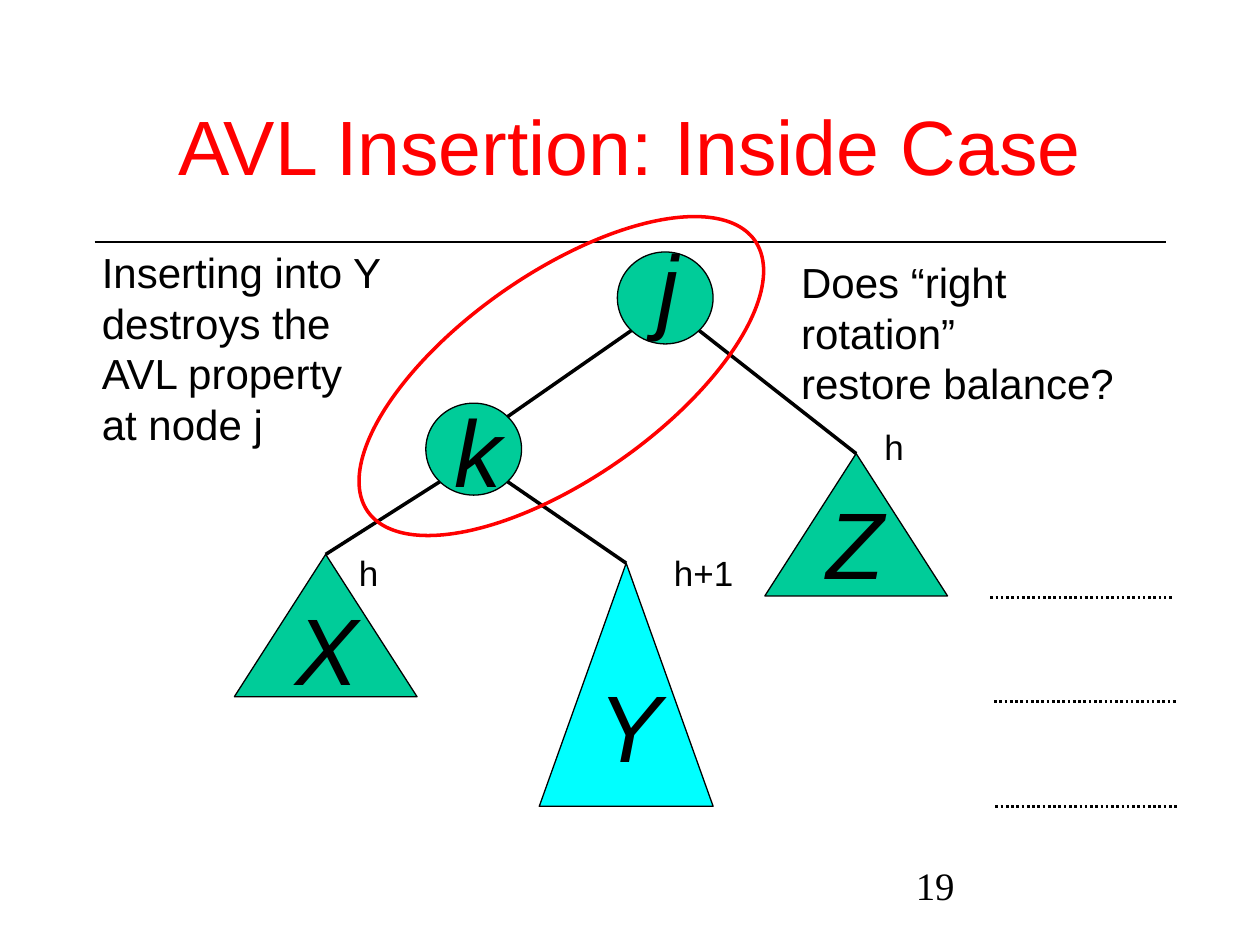
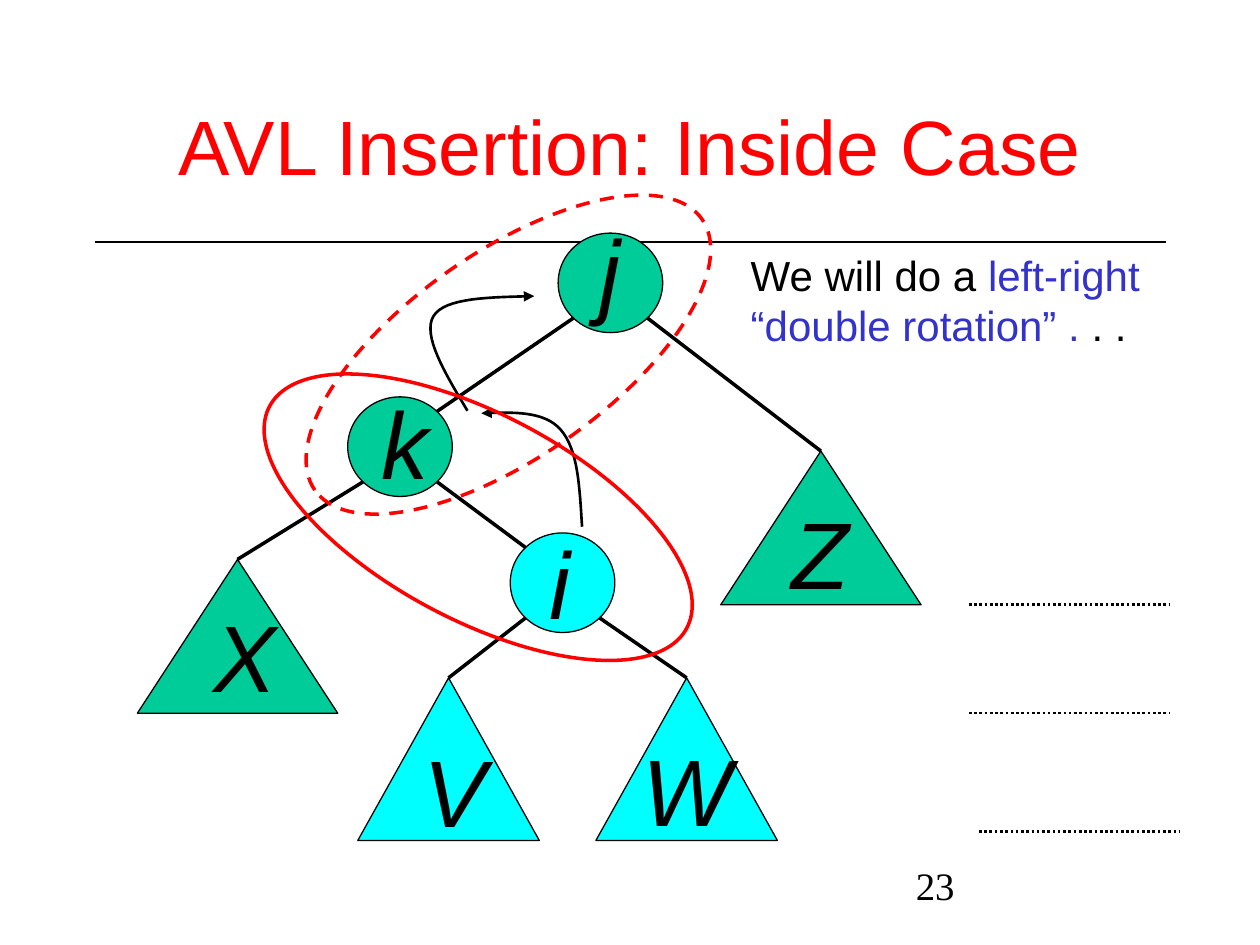
from dataclasses import dataclass
from math import sqrt

from lxml import etree
from pptx import Presentation
from pptx.dml.color import RGBColor
from pptx.enum.dml import MSO_LINE
from pptx.enum.shapes import MSO_CONNECTOR, MSO_SHAPE
from pptx.enum.text import MSO_ANCHOR, PP_ALIGN
from pptx.oxml.ns import qn
from pptx.util import Inches, Pt

STRAIGHT = MSO_CONNECTOR.STRAIGHT
CIRCLE, TRIANGLE = MSO_SHAPE.OVAL, MSO_SHAPE.ISOSCELES_TRIANGLE
DOTTED, DASHED = MSO_LINE.ROUND_DOT, MSO_LINE.DASH
MIDDLE, CENTER = MSO_ANCHOR.MIDDLE, PP_ALIGN.CENTER


@dataclass(frozen=True)
class Theme:
    black: RGBColor = RGBColor(0x00, 0x00, 0x00)
    red: RGBColor = RGBColor(0xFF, 0x00, 0x00)
    blue: RGBColor = RGBColor(0x33, 0x33, 0xCC)
    green: RGBColor = RGBColor(0x00, 0xCC, 0x99)
    cyan: RGBColor = RGBColor(0x00, 0xFF, 0xFF)
    font: str = "Arial"
    number_font: str = "Times New Roman"
    title: float = 44
    letter: float = 54
    caption: float = 24
    height: float = 20
    number: float = 22.2
    thin: float = 0.75
    medium: float = 1.5
    thick: float = 2


theme = Theme()


def add_text(slide, lines, box, size, font=theme.font, italic=False, wrap=True):
    """Add a text box; a line is a string or a list of (text, colour) runs."""
    frame = slide.shapes.add_textbox(*map(Inches, box)).text_frame
    frame.word_wrap = wrap
    for index, line in enumerate(lines):
        paragraph = frame.paragraphs[0] if index == 0 else frame.add_paragraph()
        paragraph.font.size = Pt(size)
        paragraph.font.name = font
        paragraph.font.italic = italic
        if isinstance(line, str):
            paragraph.text = line
            paragraph.font.color.rgb = theme.black
        else:
            for text, colour in line:
                run = paragraph.add_run()
                run.text = text
                run.font.color.rgb = colour
    return frame


def add_line(slide, start, end, width, dash=None):
    line = slide.shapes.add_connector(STRAIGHT, *map(Inches, (*start, *end)))
    line.line.color.rgb = theme.black
    line.line.width = Pt(width)
    if dash:
        line.line.dash_style = dash
    etree.SubElement(line._element.spPr, qn("a:effectLst"))
    return line


# Nodes: letter -> (shape, fill, box, left and top of the letter)
# Edges: parent, child, side of the parent (-1 left, 1 right)
# Rings: box, rotation, dash
inside_case = {
    "number": "19",
    "captions": [
        (["Inserting into Y", "destroys the", "AVL property", "at node j"],
         (0.71, 1.91, 2.51, 1.7)),
        (["Does “right rotation”", "restore balance?"], (6.26, 1.99, 3.14, 0.9)),
    ],
    "nodes": {
        "j": (CIRCLE, theme.green, (4.9, 2, 0.76, 0.73), (5.12, 1.76)),
        "k": (CIRCLE, theme.green, (3.38, 3.2, 0.76, 0.73), (3.51, 3.07)),
        "X": (TRIANGLE, theme.green, (1.86, 4.4, 1.45, 1.13), (2.25, 4.64)),
        "Y": (TRIANGLE, theme.cyan, (4.28, 4.47, 1.38, 1.93), (4.65, 5.25)),
        "Z": (TRIANGLE, theme.green, (6.07, 3.6, 1.45, 1.13), (6.46, 3.8)),
    },
    "edges": [("j", "k", -1), ("j", "Z", 1), ("k", "X", -1), ("k", "Y", 1)],
    "levels": [(7.86, 4.74), (7.89, 5.57), (7.9, 6.4)],
    "level_width": 1.45,
    "heights": [("h", (6.92, 3.33, 0.36, 0.44)),
                ("h+1", (5.25, 4.33, 0.67, 0.44)),
                ("h", (2.75, 4.33, 0.35, 0.44))],
    "rotations": [],
    "rings": [((2.58, 2.17, 3.75, 1.63), 325, None)],
}
double_rotation = {
    "number": "23",
    "captions": [
        ([[("We will do a ", theme.black), ("left-right", theme.blue)],
          [("“double rotation” .", theme.blue), (" . .", theme.black)]],
         (5.86, 1.93, 3.38, 0.9)),
    ],
    "nodes": {
        "j": (CIRCLE, theme.green, (4.43, 1.85, 0.83, 0.79), (4.66, 1.64)),
        "k": (CIRCLE, theme.green, (2.76, 3.15, 0.83, 0.79), (2.93, 3.01)),
        "i": (CIRCLE, theme.cyan, (4.05, 4.23, 0.83, 0.79), (4.26, 4.12)),
        "X": (TRIANGLE, theme.green, (1.09, 4.44, 1.59, 1.22), (1.6, 4.7)),
        "V": (TRIANGLE, theme.cyan, (2.84, 5.38, 1.44, 1.29), (3.26, 5.77)),
        "W": (TRIANGLE, theme.cyan, (4.73, 5.38, 1.44, 1.29), (5, 5.76)),
        "Z": (TRIANGLE, theme.green, (5.72, 3.58, 1.59, 1.22), (6.18, 3.88)),
    },
    "edges": [("j", "k", -1), ("j", "Z", 1), ("k", "X", -1), ("k", "i", 1),
              ("i", "V", -1), ("i", "W", 1)],
    "levels": [(7.69, 4.8), (7.69, 5.66), (7.77, 6.6)],
    "level_width": 1.59,
    "heights": [],
    # Each curved arrow is two cubic curves that share the middle point
    "rotations": [
        [(4.62, 4.18), (4.6, 3.87), (4.59, 3.57), (4.45, 3.41),
         (4.32, 3.26), (4.07, 3.27), (3.82, 3.28)],
        [(3.71, 3.26), (3.53, 2.96), (3.35, 2.66), (3.44, 2.51),
         (3.53, 2.36), (3.89, 2.36), (4.24, 2.35)],
    ],
    "rings": [((1.92, 3.29, 3.75, 1.63), 28, None),
              ((2.16, 2, 3.75, 1.63), 325, DASHED)],
}

prs = Presentation()
prs.slide_width, prs.slide_height = Inches(10), Inches(7.5)

for content in (inside_case, double_rotation):
    slide = prs.slides.add_slide(prs.slide_layouts[5])

    # Title, rule and slide number
    title = slide.shapes.title
    title.left, title.top, title.width, title.height = map(
        Inches, (0.73, 0.71, 8.54, 0.88))
    title.text_frame.vertical_anchor = MIDDLE
    heading = title.text_frame.paragraphs[0]
    heading.text = "AVL Insertion: Inside Case"
    heading.alignment = CENTER
    heading.font.size = Pt(theme.title)
    heading.font.name = theme.font
    heading.font.color.rgb = theme.red
    add_line(slide, (0.75, 1.92), (9.25, 1.92), theme.thin)
    number = add_text(slide, [content["number"]], (7.17, 6.83, 2.08, 0.5),
                      theme.number, font=theme.number_font)
    number.paragraphs[0].line_spacing = 0.9

    # Tree nodes and subtrees
    tree = {}
    for letter, (outline, fill, box, letter_at) in content["nodes"].items():
        node = slide.shapes.add_shape(outline, *map(Inches, box))
        node.shadow.inherit = False
        node.fill.solid()
        node.fill.fore_color.rgb = fill
        node.line.color.rgb = theme.black
        node.line.width = Pt(theme.thin)
        tree[letter] = node
        add_text(slide, [letter], (*letter_at, 0.5, 1), theme.letter, italic=True)

    # Edges leave and enter circles on their diagonals
    for parent, child, side in content["edges"]:
        x, y, w, h = content["nodes"][parent][2]
        start = (x + w / 2 + side * w / sqrt(8), y + h / 2 + h / sqrt(8))
        x, y, w, h = content["nodes"][child][2]
        if content["nodes"][child][0] == TRIANGLE:
            edge = add_line(slide, start, (x + w / 2, y), theme.thick)
            edge.end_connect(tree[child], 0)
        else:
            end = (x + w / 2 - side * w / sqrt(8), y + h / 2 - h / sqrt(8))
            add_line(slide, start, end, theme.thick)

    # Level marks and subtree heights
    for x, y in content["levels"]:
        add_line(slide, (x, y), (x + content["level_width"], y),
                 theme.medium, DOTTED)
    for height, box in content["heights"]:
        add_text(slide, [height], box, theme.height, wrap=False)

    # Captions
    for lines, box in content["captions"]:
        add_text(slide, lines, box, theme.caption, wrap=False)

    # Curved rotation arrows
    for points in content["rotations"]:
        curve = []
        for first in (0, 3):
            a, b, c, d = points[first:first + 4]
            for step in range(1, 17):
                t = step / 16
                curve.append(tuple(
                    Inches((1 - t) ** 3 * p + 3 * t * (1 - t) ** 2 * q
                           + 3 * t ** 2 * (1 - t) * r + t ** 3 * s)
                    for p, q, r, s in zip(a, b, c, d)))
        builder = slide.shapes.build_freeform(*map(Inches, points[0]))
        builder.add_line_segments(curve, close=False)
        arrow = builder.convert_to_shape()
        arrow.shadow.inherit = False
        arrow.fill.background()
        arrow.line.color.rgb = theme.black
        arrow.line.width = Pt(theme.medium)
        etree.SubElement(arrow.line._get_or_add_ln(), qn("a:tailEnd"),
                         type="triangle")

    # Rings around the rotated nodes
    for box, angle, dash in content["rings"]:
        ring = slide.shapes.add_shape(CIRCLE, *map(Inches, box))
        ring.rotation = angle
        ring.shadow.inherit = False
        ring.fill.background()
        ring.line.color.rgb = theme.red
        ring.line.width = Pt(theme.thick)
        if dash:
            ring.line.dash_style = dash

prs.save("out.pptx")
